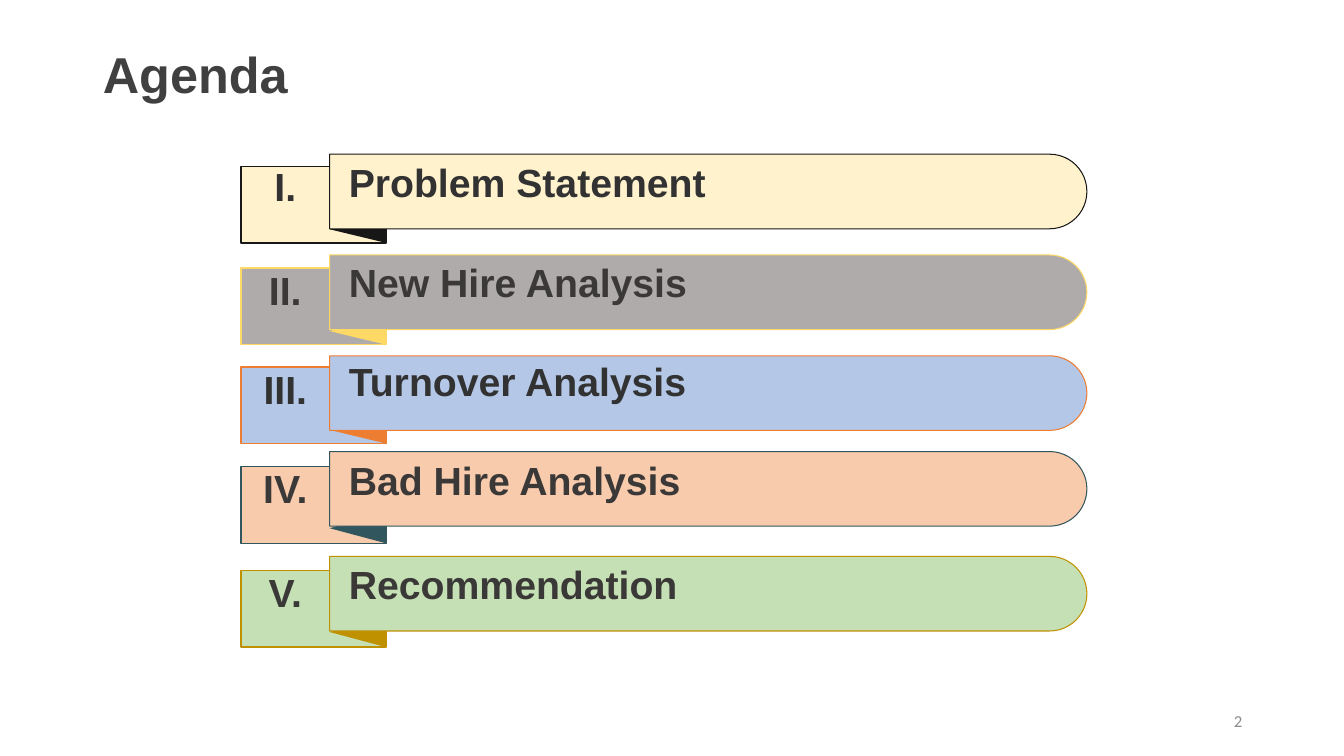
from dataclasses import dataclass

from pptx import Presentation
from pptx.dml.color import RGBColor
from pptx.enum.shapes import MSO_SHAPE as Shp
from pptx.enum.text import MSO_ANCHOR as Anchor, MSO_AUTO_SIZE as AutoSize, PP_ALIGN as Align
from pptx.util import Inches, Pt

INK = RGBColor(0x32, 0x32, 0x32)
SOFT_INK = RGBColor(0x3B, 0x38, 0x38)
TITLE_INK = RGBColor(0x40, 0x40, 0x40)
NUMBER_INK = RGBColor(0x8C, 0x8C, 0x8C)
CREAM, BLACK = RGBColor(0xFF, 0xF2, 0xCC), RGBColor(0x18, 0x17, 0x17)
GREY, YELLOW = RGBColor(0xAF, 0xAB, 0xAB), RGBColor(0xFF, 0xD9, 0x66)
BLUE, ORANGE = RGBColor(0xB4, 0xC7, 0xE7), RGBColor(0xED, 0x7D, 0x31)
PEACH, TEAL = RGBColor(0xF8, 0xCB, 0xAD), RGBColor(0x31, 0x56, 0x5D)
GREEN, GOLD = RGBColor(0xC5, 0xE0, 0xB4), RGBColor(0xBF, 0x90, 0x00)

TAB_LEFT, TAB_W, TAB_H = 2.39, 1.44, 0.76
BAR_LEFT, BAR_W, BAR_H = 3.27, 7.51, 0.74
FOLD_W = 0.56
TEXT_H = 0.47


@dataclass
class Item:
    numeral: str
    label: str
    tab_top: float
    bar_top: float
    numeral_top: float
    label_top: float
    fold_h: float
    fill: RGBColor
    accent: RGBColor
    ink: RGBColor


ITEMS = [
    Item("I.", "Problem Statement", 1.65, 1.53, 1.61, 1.57, 0.27, CREAM, BLACK, INK),
    Item("II.", "New Hire Analysis", 2.66, 2.53, 2.64, 2.56, 0.27, GREY, YELLOW, SOFT_INK),
    Item("III.", "Turnover Analysis", 3.64, 3.53, 3.62, 3.54, 0.27, BLUE, ORANGE, INK),
    Item("IV.", "Bad Hire Analysis", 4.63, 4.48, 4.61, 4.53, 0.3, PEACH, TEAL, SOFT_INK),
    Item("V.", "Recommendation", 5.66, 5.52, 5.64, 5.56, 0.3, GREEN, GOLD, SOFT_INK),
]


def add_block(s, kind: Shp, left: float, top: float, width: float, height: float,
              fill: RGBColor, line: RGBColor | None = None, line_pt: float = 1,
              turn: int = 0):
    """Draw a shape whose visible box is given; a quarter turn swaps its own sides."""
    w, h = (height, width) if turn else (width, height)
    sp = s.shapes.add_shape(kind, Inches(left + (width - w) / 2),
                            Inches(top + (height - h) / 2), Inches(w), Inches(h))
    sp.rotation = turn
    sp.shadow.inherit = False
    sp.fill.solid()
    sp.fill.fore_color.rgb = fill
    if line is None:
        sp.line.fill.background()
    else:
        sp.line.color.rgb = line
        sp.line.width = Pt(line_pt)
    return sp


def write(tf, text: str, size: float, color: RGBColor, align: Align = Align.LEFT,
          name: str = "Arial", bold: bool = True, **frame) -> None:
    frame = {"word_wrap": True, "auto_size": AutoSize.NONE, **frame}
    for key, value in frame.items():
        setattr(tf, key, value)
    p = tf.paragraphs[0]
    p.alignment = align
    r = p.add_run()
    r.text = text
    for key, value in {"size": Pt(size), "name": name, "bold": bold}.items():
        setattr(r.font, key, value)
    r.font.color.rgb = color


def add_text(s, left: float, top: float, width: float, height: float, *args, **fmt) -> None:
    box = s.shapes.add_textbox(Inches(left), Inches(top), Inches(width), Inches(height))
    write(box.text_frame, *args, **fmt)


def add_item(s, item: Item) -> None:
    add_block(s, Shp.RECTANGLE, TAB_LEFT, item.tab_top, TAB_W, TAB_H, item.fill, item.accent)
    add_block(s, Shp.ISOSCELES_TRIANGLE, BAR_LEFT, item.tab_top + TAB_H - item.fold_h,
              FOLD_W, item.fold_h, item.accent, turn=270)
    bar = add_block(s, Shp.ROUND_2_SAME_RECTANGLE, BAR_LEFT, item.bar_top, BAR_W, BAR_H,
                    item.fill, item.accent, 0.75, turn=90)
    bar.adjustments[0], bar.adjustments[1] = 0.5, 0
    flush = dict.fromkeys(("margin_left", "margin_top", "margin_right", "margin_bottom"), 0)
    flush["auto_size"] = AutoSize.SHAPE_TO_FIT_TEXT
    add_text(s, 2.45, item.numeral_top, 0.76, TEXT_H, item.numeral, 28, item.ink,
             Align.CENTER, **flush)
    add_text(s, 3.46, item.label_top, 6.95, TEXT_H, item.label, 28, item.ink, **flush)


def main() -> None:
    prs = Presentation()
    prs.slide_width, prs.slide_height = Inches(13.33), Inches(7.5)
    s = prs.slides.add_slide(prs.slide_layouts[5])

    title = s.shapes.title
    place = {"left": 0.92, "top": 0.4, "width": 11.5, "height": 0.73}
    for key, value in place.items():
        setattr(title, key, Inches(value))
    write(title.text_frame, "Agenda", 36, TITLE_INK, vertical_anchor=Anchor.MIDDLE)
    title.text_frame.paragraphs[0].line_spacing = 0.9

    for item in ITEMS:
        add_item(s, item)

    add_text(s, 9.42, 6.95, 3, 0.4, "2", 12, NUMBER_INK, Align.RIGHT,
             name="Calibri", bold=False, vertical_anchor=Anchor.MIDDLE)
    prs.save("out.pptx")


if __name__ == "__main__":
    main()
